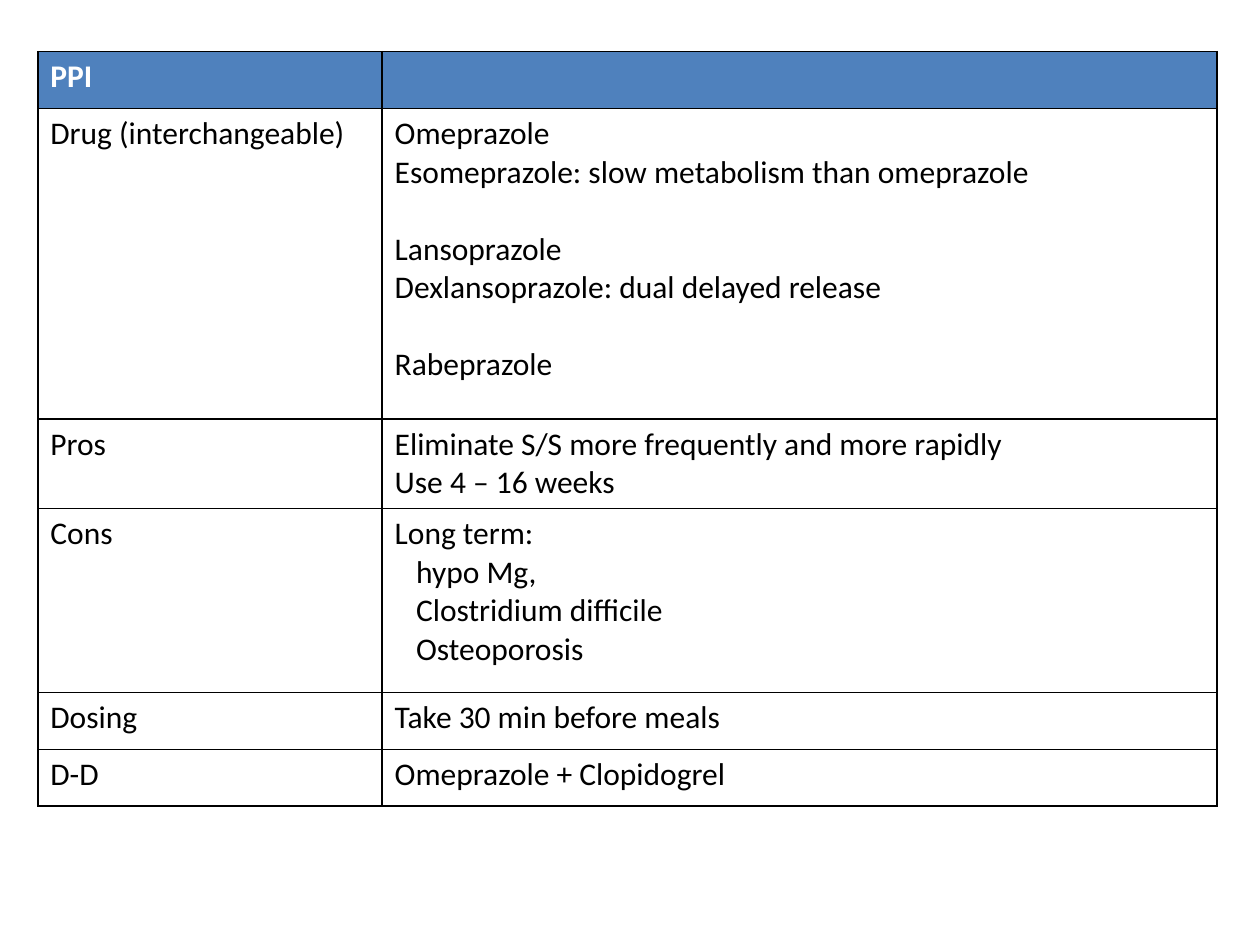
from lxml import etree
from pptx import Presentation
from pptx import util as u
from pptx.dml.color import RGBColor
from pptx.oxml import ns

BLACK = RGBColor(0x00, 0x00, 0x00)
WHITE = RGBColor(0xFF, 0xFF, 0xFF)
BLUE = RGBColor(0x4F, 0x81, 0xBD)

SLIDE_WIDTH, SLIDE_HEIGHT = u.Inches(10), u.Inches(7.5)
GRID_COLUMNS = 100
UNIT = SLIDE_WIDTH / GRID_COLUMNS
TABLE_BOX = (3, 4.1, 93.6, 59.9)
COLUMN_WEIGHTS = (2.73, 6.62)
ROW_WEIGHTS = (0.45, 2.46, 0.71, 1.46, 0.45, 0.45)
LINE_GAP = 22
INDENT = 1.7

ROWS = [
    ("PPI", []),
    ("Drug (interchangeable)", [
        ("Omeprazole", {}),
        ("Esomeprazole: slow metabolism than omeprazole", {}),
        ("Lansoprazole", {"before": LINE_GAP}),
        ("Dexlansoprazole: dual delayed release", {}),
        ("Rabeprazole", {"before": LINE_GAP}),
    ]),
    ("Pros", [
        ("Eliminate S/S more frequently and more rapidly", {}),
        ("Use 4 – 16 weeks", {}),
    ]),
    ("Cons", [
        ("Long term:", {}),
        ("hypo Mg,", {"indent": INDENT}),
        ("Clostridium difficile", {"indent": INDENT}),
        ("Osteoporosis", {"indent": INDENT}),
    ]),
    ("Dosing", [("Take 30 min before meals", {})]),
    ("D-D", [("Omeprazole + Clopidogrel", {})]),
]


def grid(units):
    return u.Emu(round(units * UNIT))


def write(para, content, color=BLACK, bold=False, size=18, before=0, indent=0):
    if indent:
        para._p.get_or_add_pPr().set("marL", str(grid(indent)))
    if before:
        para.space_before = u.Pt(before)
    span = para.add_run()
    span.text = content
    span.font.name = "Calibri"
    span.font.size = u.Pt(size)
    span.font.bold = bold
    span.font.color.rgb = color


def outline(cell, color=BLACK, width=1):
    properties = cell._tc.get_or_add_tcPr()
    for position, side in enumerate(("lnL", "lnR", "lnT", "lnB")):
        line = etree.Element(ns.qn(f"a:{side}"), w=str(u.Pt(width)))
        fill = etree.SubElement(line, ns.qn("a:solidFill"))
        etree.SubElement(fill, ns.qn("a:srgbClr"), val=str(color))
        properties.insert(position, line)


def fill_cell(cell, lines, header):
    if header:
        cell.fill.solid()
        cell.fill.fore_color.rgb = BLUE
    else:
        cell.fill.background()
    outline(cell)
    frame = cell.text_frame
    for index, (content, style) in enumerate(lines):
        para = frame.add_paragraph() if index else frame.paragraphs[0]
        write(para, content, color=WHITE if header else BLACK, bold=header, **style)


def drug_table(page, box):
    left, top, width, height = box
    table = page.shapes.add_table(
        len(ROWS), len(COLUMN_WEIGHTS), *map(grid, box)
    ).table
    table.horz_banding = False
    for column, weight in zip(table.columns, COLUMN_WEIGHTS):
        column.width = grid(width * weight / sum(COLUMN_WEIGHTS))
    for row, weight in zip(table.rows, ROW_WEIGHTS):
        row.height = grid(height * weight / sum(ROW_WEIGHTS))
    for index, (label, details) in enumerate(ROWS):
        fill_cell(table.cell(index, 0), [(label, {})], header=index == 0)
        fill_cell(table.cell(index, 1), details, header=index == 0)


def main():
    deck = Presentation()
    deck.slide_width, deck.slide_height = SLIDE_WIDTH, SLIDE_HEIGHT
    page = deck.slides.add_slide(deck.slide_layouts[6])
    drug_table(page, TABLE_BOX)
    deck.save("out.pptx")


if __name__ == "__main__":
    main()
